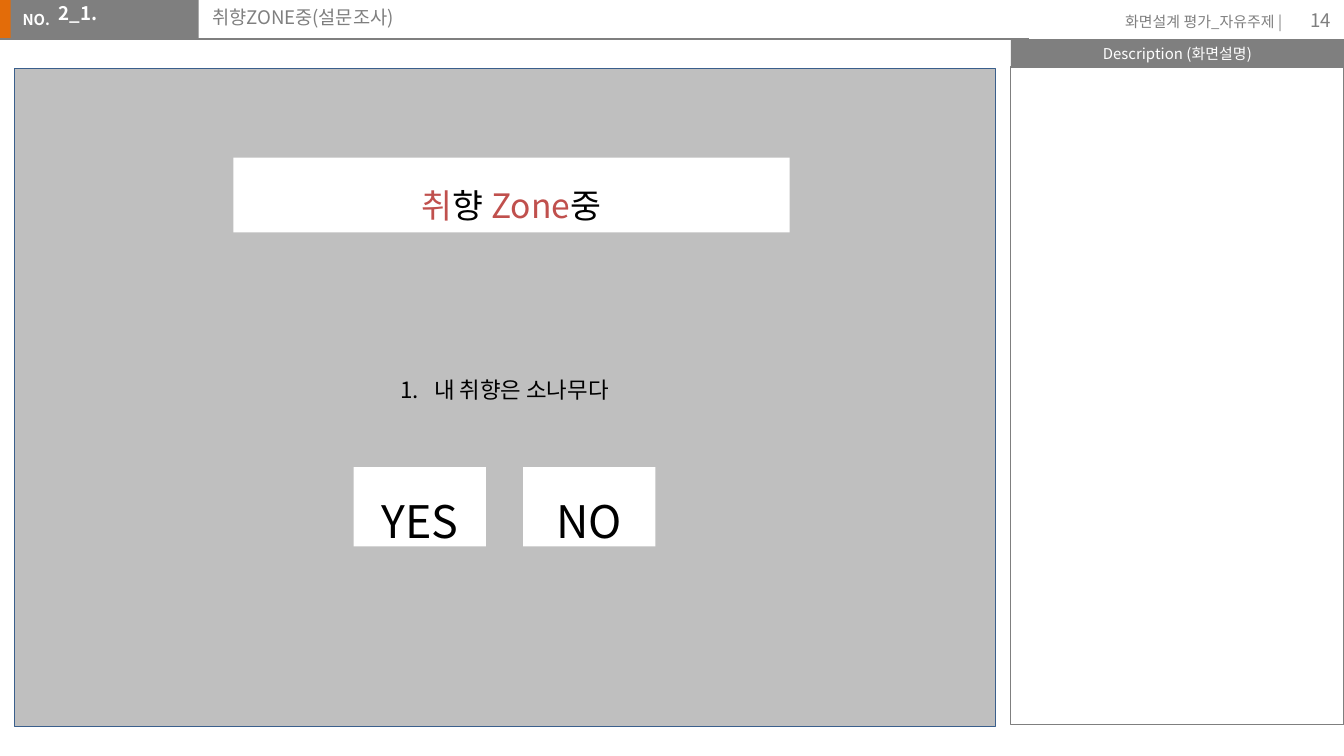
from lxml.etree import SubElement
from pptx import Presentation
from pptx.dml.color import RGBColor
from pptx.enum.shapes import MSO_CONNECTOR, MSO_SHAPE
from pptx.enum.text import MSO_ANCHOR as Anchor, MSO_AUTO_SIZE as AutoSize, PP_ALIGN as Align
from pptx.oxml.ns import qn
from pptx.util import Pt

FONT = "Noto Sans CJK KR"
COLORS = {
    "accent": "E36C09", "bar": "7F7F7F", "canvas": "BFBFBF", "edge": "3A5F8C",
    "white": "FFFFFF", "black": "000000", "red": "C0504D",
}


def rgb(name):
    return RGBColor.from_string(COLORS[name])


def write(shape, pieces, size, align=Align.LEFT, anchor=Anchor.TOP, bold=False,
          spacing=None, wrap=True, margin=3.6):
    """Fill a shape with one paragraph made of (text, colour) pieces."""
    frame = shape.text_frame
    frame.word_wrap = wrap
    frame.vertical_anchor = anchor
    frame.margin_left = frame.margin_right = Pt(7.2)
    frame.margin_top = frame.margin_bottom = Pt(margin)
    paragraph = frame.paragraphs[0]
    paragraph.alignment = align
    if spacing:
        paragraph.line_spacing = spacing
    for text, color in pieces:
        run = paragraph.add_run()
        run.text = text
        run.font.size = Pt(size)
        run.font.bold = bold
        run.font.name = FONT
        run.font.color.rgb = rgb(color)
        SubElement(run.font._element, qn("a:ea"), typeface=FONT)
    return paragraph


def indent(paragraph, left, hanging):
    props = paragraph._p.get_or_add_pPr()
    props.set("marL", str(Pt(left)))
    props.set("indent", str(-Pt(hanging)))
    return props


def add_box(slide, left, top, width, height, fill=None, line=None, weight=0.75):
    box = slide.shapes.add_shape(MSO_SHAPE.RECTANGLE, Pt(left), Pt(top), Pt(width), Pt(height))
    box.shadow.inherit = False
    if fill:
        box.fill.solid()
        box.fill.fore_color.rgb = rgb(fill)
    else:
        box.fill.background()
    if line:
        box.line.color.rgb = rgb(line)
        box.line.width = Pt(weight)
    else:
        box.line.fill.background()
    return box


def add_label(slide, left, top, width, height):
    return slide.shapes.add_textbox(Pt(left), Pt(top), Pt(width), Pt(height))


def header(slide, left, top, width, height):
    # Number tab
    add_box(slide, left - 0.7, top, 8.6, height, "accent")
    add_box(slide, left + 5.7, top, 100.8, height, "bar")
    write(add_label(slide, left + 5, top + 2.2, 40, 17.3), [("NO.", "white")], 8, bold=True)
    number = write(add_label(slide, left + 6.5, top - 4.3, 79, 22.3), [("2_1.", "white")], 10,
                   anchor=Anchor.MIDDLE, bold=True, margin=7.2)
    indent(number, 36, 18)

    # Rule under the header
    rule = slide.shapes.add_connector(MSO_CONNECTOR.STRAIGHT, Pt(left), Pt(top + height),
                                      Pt(left + 551.5), Pt(top + height))
    rule.line.color.rgb = rgb("bar")
    rule.line.width = Pt(0.75)
    SubElement(rule._element.spPr, qn("a:effectLst"))

    # Screen title
    title = slide.shapes.title
    title.left, title.top, title.width, title.height = Pt(left + 106.5), Pt(top - 2.2), Pt(442), Pt(23)
    write(title, [("취향ZONE중(설문조사)", "bar")], 10, anchor=Anchor.MIDDLE, margin=7.2)

    # Project name and page number
    right = left + width
    write(add_label(slide, right - 144, top + 3.4, 118, 17.3),
          [("화면설계 평가_자유주제 |", "bar")], 8, Align.RIGHT)
    write(add_label(slide, right - 43.2, top, 43.2, 21.6), [("14", "bar")], 10,
          Align.RIGHT, Anchor.MIDDLE)


def description_panel(slide, left, top, width, height):
    heading_height = 15
    heading = add_box(slide, left, top, width, heading_height, "bar")
    write(heading, [("Description (화면설명)", "white")], 8, Align.CENTER, Anchor.MIDDLE)
    add_box(slide, left, top + heading_height, width, height - heading_height, line="bar")


def survey_screen(slide, left, top, width, height):
    add_box(slide, left, top, width, height, "canvas", "edge", 0.25)

    # Question
    question = add_label(slide, left + 197.7, top + 154, 130.3, 26.6)
    text = write(question, [("내 취향은 소나무다", "black")], 12, Align.CENTER,
                 spacing=1.5, wrap=False)
    question.text_frame.auto_size = AutoSize.SHAPE_TO_FIT_TEXT
    props = indent(text, 18, 18)
    SubElement(props, qn("a:buFont"), typeface="+mj-lt")
    SubElement(props, qn("a:buAutoNum"), type="arabicPeriod")

    # Banner
    banner = add_box(slide, left + 117.5, top + 47.8, 298, 40, "white")
    write(banner, [("취", "red"), ("향 ", "black"), ("Zone", "red"), ("중", "black")], 18,
          Align.CENTER, Anchor.MIDDLE, spacing=1.5)

    # Answer buttons
    for index, answer in enumerate(["YES", "NO"]):
        button = add_box(slide, left + 182 + index * 90.8, top + 213.5, 70.8, 42.5, "white")
        write(button, [(answer, "black")], 24, Align.CENTER, Anchor.MIDDLE,
              spacing=1.5, wrap=False)


def main():
    deck = Presentation()
    deck.slide_width, deck.slide_height = Pt(720), Pt(405)
    slide = deck.slides.add_slide(deck.slide_layouts[5])
    header(slide, 0, 0, 720, 21)
    description_panel(slide, 541.5, 21, 178.5, 367.3)
    survey_screen(slide, 7.5, 36.7, 525.8, 352.5)
    deck.save("out.pptx")


if __name__ == "__main__":
    main()
